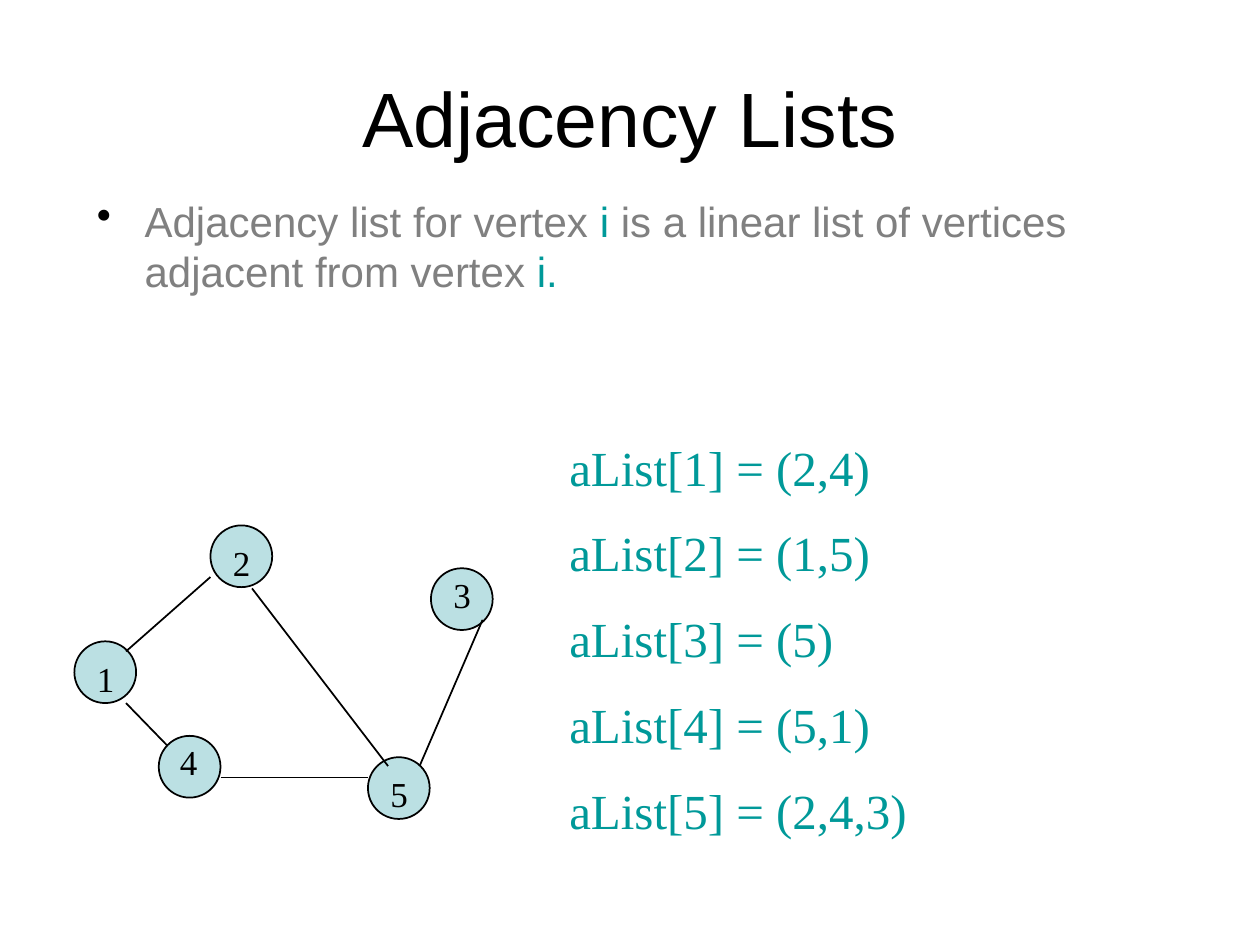
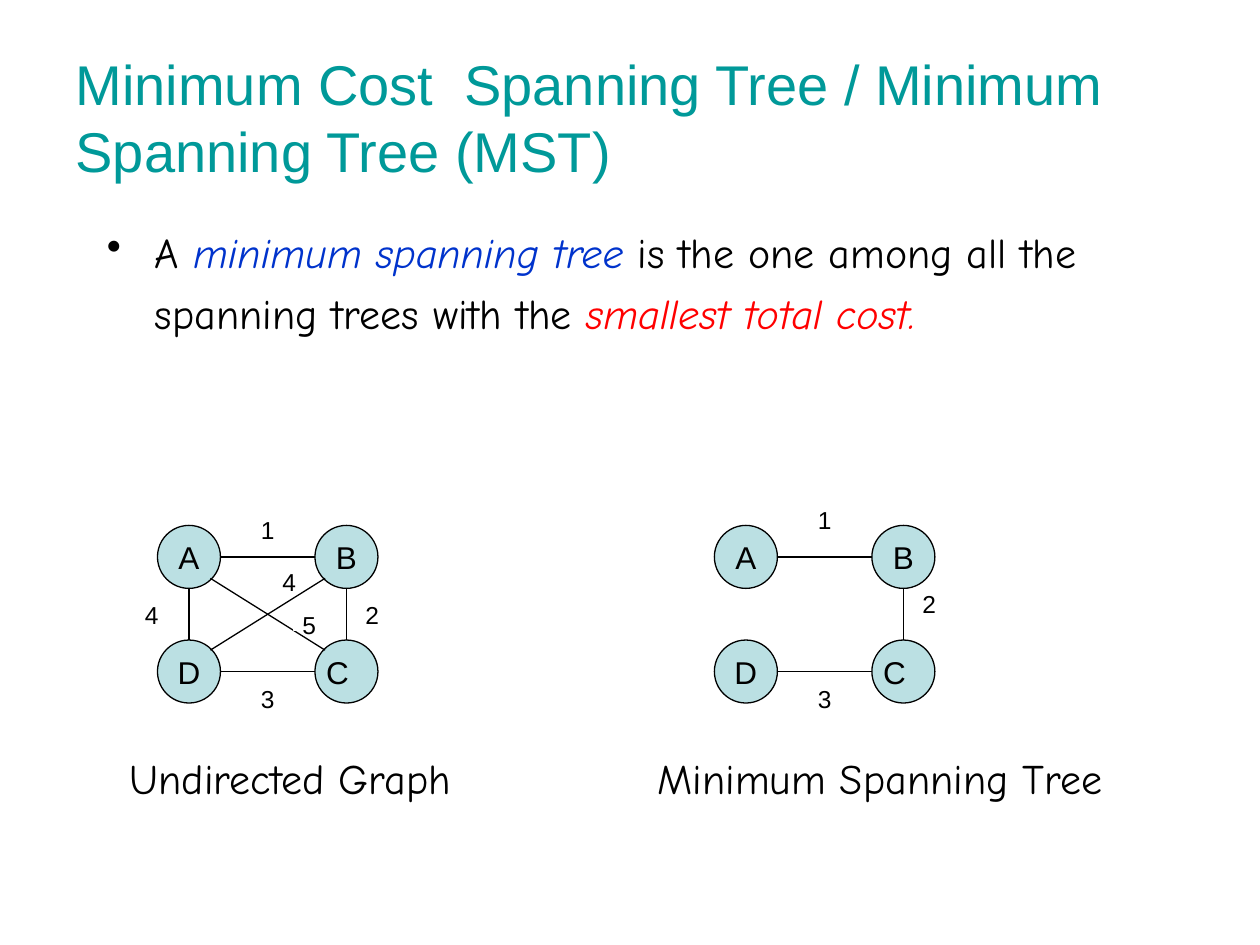
import pptx
import pptx.util
import pptx.dml.color
import pptx.enum.shapes
import pptx.enum.text
import pptx.oxml.ns
import lxml.etree
from dataclasses import dataclass

Inches = pptx.util.Inches
Pt = pptx.util.Pt
ALIGN = pptx.enum.text.PP_ALIGN
ANCHOR = pptx.enum.text.MSO_ANCHOR
SHAPE = pptx.enum.shapes.MSO_SHAPE


@dataclass(frozen=True)
class Theme:
    black: str = "000000"
    white: str = "FFFFFF"
    gray: str = "808080"
    teal: str = "009999"
    blue: str = "0033CC"
    red: str = "FF0000"
    vertex: str = "BBE0E3"
    sans: str = "Arial"
    serif: str = "Times New Roman"
    hand: str = "Comic Neue"
    title: int = 44
    long_title: int = 32
    lists: int = 28
    body: int = 24
    vertex_number: int = 20
    vertex_letter: int = 18
    weight: int = 14


THEME = Theme()

# Content: adjacency lists
ADJACENCY_TITLE = "Adjacency Lists"
ADJACENCY_POINT = [
    ("Adjacency list for vertex", THEME.gray, False),
    (" i ", THEME.teal, False),
    ("is a linear list of vertices adjacent from vertex", THEME.gray, False),
    (" i.", THEME.teal, False),
]
ADJACENCY = {1: (2, 4), 2: (1, 5), 3: (5,), 4: (5, 1), 5: (2, 4, 3)}
# vertex: (circle corner, number corner)
VERTICES = {
    1: ((0.59, 5.09), (0.67, 5.17)),
    2: ((1.67, 4.17), (1.75, 4.25)),
    3: ((3.42, 4.51), (3.5, 4.5)),
    4: ((1.26, 5.84), (1.33, 5.83)),
    5: ((2.92, 6.01), (3, 6.08)),
}
EDGES = [
    ((1.67, 4.58), (1, 5.17)),
    ((2, 4.67), (3.08, 6.08)),
    ((1, 5.58), (1.33, 5.92)),
    ((3.83, 4.92), (3.33, 6.08)),
    ((1.75, 6.17), (2.92, 6.17)),
]

# Content: minimum spanning tree
MST_TITLE = "Minimum Cost  Spanning Tree / Minimum Spanning Tree (MST)"
MST_POINT = [
    ("A ", THEME.black, False),
    ("minimum spanning tree", THEME.blue, True),
    (" is the one among all the spanning trees with the ", THEME.black, False),
    ("smallest total cost.", THEME.red, True),
]
CORNERS = {"A": (0, 0), "D": (0, 1), "C": (1, 1), "B": (1, 0)}  # column, row
# weights: (cost, x and y from the graph's corner, height)
GRAPHS = [
    {
        "caption": "Undirected Graph", "caption_at": (0.93, 3.15), "left": 1.25,
        "edges": ["AD", "AB", "DC", "BC", "DB", "AC"],
        "weights": [("1", 0.75, -0.09, 0.25), ("2", 1.58, 0.58, 0.25),
                    ("3", 0.75, 1.25, 0.25), ("4", -0.17, 0.58, 0.25),
                    ("4", 0.92, 0.41, 0.08), ("5", 1.08, 0.75, 0.08)],
    },
    {
        "caption": "Minimum Spanning Tree", "caption_at": (5.12, 3.88), "left": 5.67,
        "edges": ["AB", "DC", "BC"],
        "weights": [("1", 0.75, -0.17, 0.25), ("2", 1.58, 0.5, 0.25),
                    ("3", 0.75, 1.25, 0.25)],
    },
]
GRAPH_TOP, COLUMN_STEP, ROW_STEP, DIAMETER = 4.17, 1.25, 0.91, 0.5
DIAGONAL_REACH = 0.17


def rgb(color):
    return pptx.dml.color.RGBColor.from_string(color)


def write(frame, paragraphs, *, size, font=THEME.sans, color=THEME.black,
          align=ALIGN.LEFT, anchor=ANCHOR.TOP, wrap=True, gap=0, spacing=None,
          bullet=False, insets=(0.1, 0.1)):
    """Fill a frame; a paragraph is a string or a list of (text, color, italic)."""
    frame.word_wrap = wrap
    frame.auto_size = pptx.enum.text.MSO_AUTO_SIZE.NONE
    frame.vertical_anchor = anchor
    frame.margin_left, frame.margin_right = map(Inches, insets)
    frame.margin_top = frame.margin_bottom = Inches(0.05)
    for index, runs in enumerate(paragraphs):
        paragraph = frame.add_paragraph() if index else frame.paragraphs[0]
        if bullet:
            add_bullet(paragraph)
        paragraph.alignment = align
        paragraph.space_before = Pt(gap if index else 0)
        if spacing:
            paragraph.line_spacing = spacing
        if isinstance(runs, str):
            runs = [(runs, color, False)]
        for text, run_color, italic in runs:
            run = paragraph.add_run()
            run.text = text
            run.font.size, run.font.name = Pt(size), font
            run.font.italic = italic
            run.font.color.rgb = rgb(run_color)


def add_bullet(paragraph):
    qn = pptx.oxml.ns.qn
    properties = paragraph._p.get_or_add_pPr()
    properties.set("marL", str(Inches(0.38)))
    properties.set("indent", str(-Inches(0.38)))
    color = lxml.etree.SubElement(properties, qn("a:buClr"))
    lxml.etree.SubElement(color, qn("a:srgbClr"), val=THEME.black)
    lxml.etree.SubElement(properties, qn("a:buChar"), char="•")


def add_box(shapes, at, paragraphs, **style):
    write(shapes.add_textbox(*map(Inches, at)).text_frame, paragraphs, **style)


def add_figure(shapes, kind, at, fill, line, width):
    figure = shapes.add_shape(kind, *map(Inches, at))
    figure.shadow.inherit = False
    figure.fill.solid()
    figure.fill.fore_color.rgb = rgb(fill)
    figure.line.color.rgb = rgb(line)
    figure.line.width = Pt(width)
    return figure


def add_edge(shapes, start, end, width):
    edge = shapes.add_connector(pptx.enum.shapes.MSO_CONNECTOR.STRAIGHT,
                                *map(Inches, (*start, *end)))
    edge.line.color.rgb = rgb(THEME.black)
    edge.line.width = Pt(width)
    lxml.etree.SubElement(edge._element.spPr, pptx.oxml.ns.qn("a:effectLst"))


def add_slide(deck, title, **style):
    slide = deck.slides.add_slide(deck.slide_layouts.get_by_name("Title Only"))
    heading = slide.shapes.title
    heading.left, heading.top, heading.width, heading.height = map(
        Inches, (0.5, 0.3, 9, 1.25))
    write(heading.text_frame, [title], anchor=ANCHOR.MIDDLE, **style)
    return slide


def add_adjacency_slide(deck):
    slide = add_slide(deck, ADJACENCY_TITLE, size=THEME.title, align=ALIGN.CENTER)
    add_box(slide.shapes, (0.67, 1.5, 8.5, 0.58), [ADJACENCY_POINT],
            size=THEME.body, bullet=True)

    # Graph drawing
    graph = slide.shapes.add_group_shape().shapes
    for circle, _ in VERTICES.values():
        add_figure(graph, SHAPE.OVAL, (*circle, 0.49, 0.49),
                   THEME.vertex, THEME.black, 1)
    for start, end in EDGES:
        add_edge(graph, start, end, 1)
    for number, (_, corner) in VERTICES.items():
        add_box(graph, (*corner, 0.25, 0.43), [str(number)],
                size=THEME.vertex_number, font=THEME.serif)

    # Lists beside the graph
    lists = [f"aList[{vertex}] = ({','.join(map(str, neighbours))})"
             for vertex, neighbours in ADJACENCY.items()]
    add_box(slide.shapes, (4.42, 3.42, 5.25, 3.37), lists, size=THEME.lists,
            font=THEME.serif, color=THEME.teal, gap=15.4)


def reach(delta, diagonal):
    """Distance along one axis from a vertex's centre to where its edge starts."""
    sign = (delta > 0) - (delta < 0)
    return sign * (DIAGONAL_REACH if diagonal else DIAMETER / 2)


def add_weighted_graph(shapes, graph):
    left = graph["left"]
    centered = dict(align=ALIGN.CENTER, anchor=ANCHOR.MIDDLE, wrap=False)
    centers = {}
    for letter, (column, row) in CORNERS.items():
        x, y = left + column * COLUMN_STEP, GRAPH_TOP + row * ROW_STEP
        centers[letter] = (x + DIAMETER / 2, y + DIAMETER / 2)
        vertex = add_figure(shapes, SHAPE.OVAL, (x, y, DIAMETER, DIAMETER),
                            THEME.vertex, THEME.black, 0.75)
        insets = (0.03, 0.17) if letter == "C" else (0.1, 0.1)
        write(vertex.text_frame, [letter], size=THEME.vertex_letter,
              insets=insets, **centered)

    for first, second in graph["edges"]:
        (x1, y1), (x2, y2) = centers[first], centers[second]
        diagonal = x1 != x2 and y1 != y2
        dx, dy = reach(x2 - x1, diagonal), reach(y2 - y1, diagonal)
        add_edge(shapes, (x1 + dx, y1 + dy), (x2 - dx, y2 - dy), 0.75)

    for cost, x, y, height in graph["weights"]:
        weight = add_figure(shapes, SHAPE.RECTANGLE,
                            (left + x, GRAPH_TOP + y, 0.25, height),
                            THEME.white, THEME.white, 0.75)
        write(weight.text_frame, [cost], size=THEME.weight, **centered)

    caption_left, caption_width = graph["caption_at"]
    add_box(shapes, (caption_left, 5.92, caption_width, 0.5), [graph["caption"]],
            size=THEME.body, font=THEME.hand)


def add_mst_slide(deck):
    slide = add_slide(deck, MST_TITLE, size=THEME.long_title, color=THEME.teal)
    add_box(slide.shapes, (0.75, 1.67, 8.5, 1.33), [MST_POINT], size=THEME.body,
            font=THEME.hand, spacing=1.2, bullet=True)
    for graph in GRAPHS:
        add_weighted_graph(slide.shapes, graph)


def main():
    deck = pptx.Presentation()
    deck.slide_width, deck.slide_height = Inches(10), Inches(7.5)
    add_adjacency_slide(deck)
    add_mst_slide(deck)
    deck.save("out.pptx")


if __name__ == "__main__":
    main()
